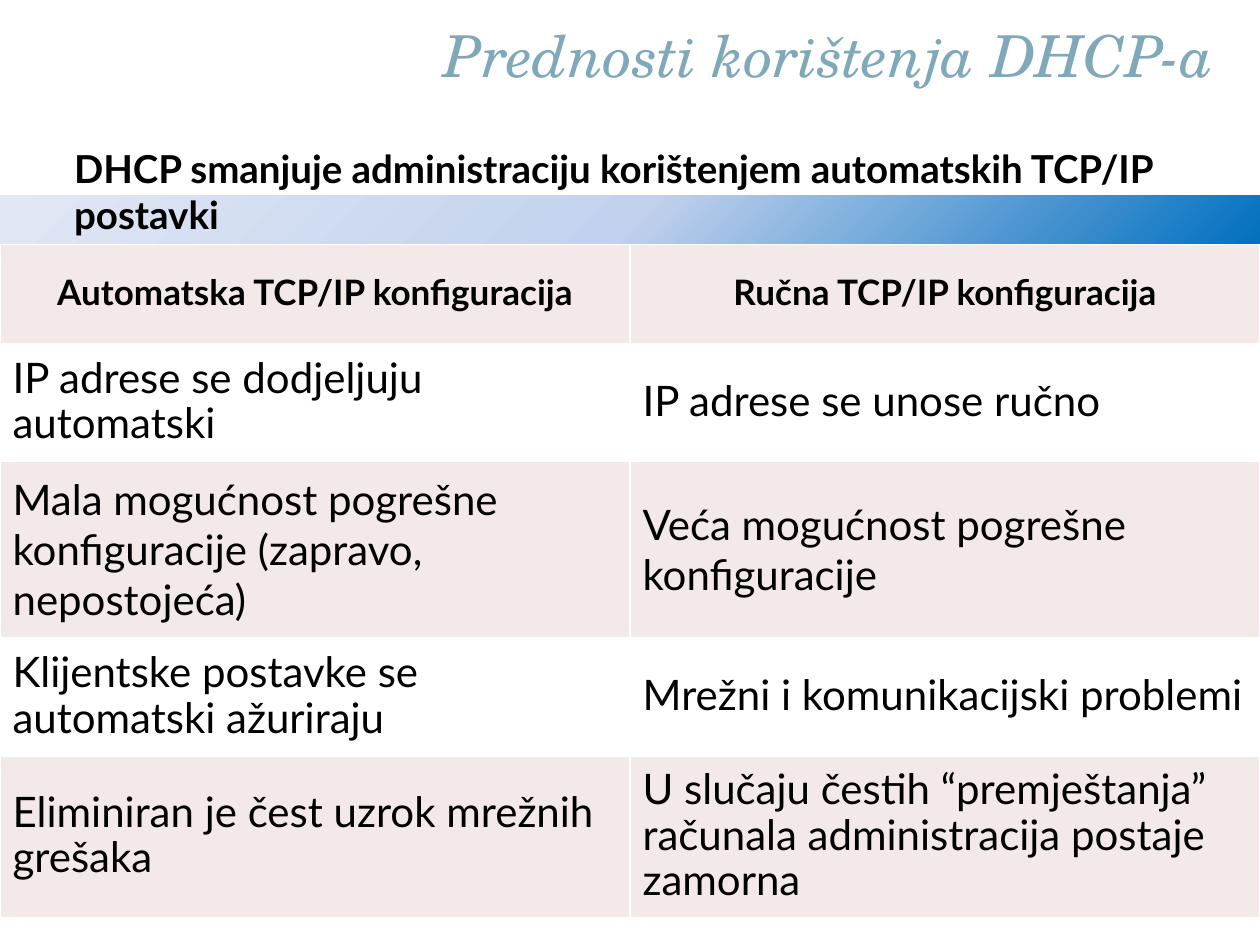
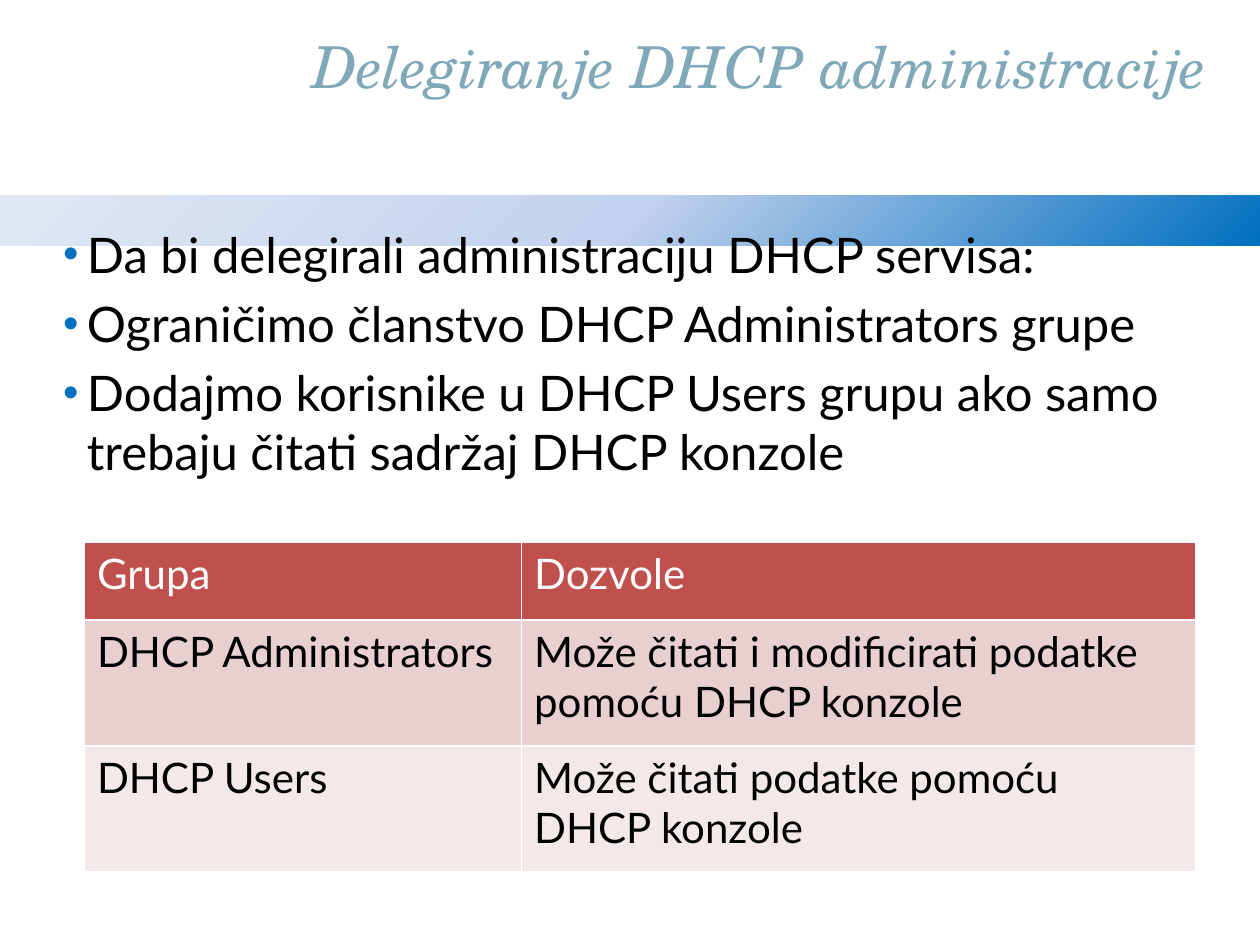
from lxml.etree import SubElement
from pptx import Presentation
from pptx.dml.color import RGBColor
from pptx.enum.shapes import MSO_SHAPE
from pptx.enum.text import MSO_ANCHOR, PP_ALIGN
from pptx.oxml import parse_xml
from pptx.oxml.ns import nsdecls, qn
from pptx.util import Inches, Pt

WHITE = RGBColor(255, 255, 255)
BLACK = RGBColor(0, 0, 0)
TITLE_BLUE = RGBColor(0x7F, 0xA8, 0xB8)
DEEP_BLUE = RGBColor(0, 0x70, 0xC0)
MID_BLUE = RGBColor(0xC2, 0xD1, 0xED)
PALE_BLUE = RGBColor(0xE1, 0xE8, 0xF5)
RED = RGBColor(0xC0, 0x50, 0x4D)
ROSE = RGBColor(0xE8, 0xD0, 0xD0)
PALE_ROSE = RGBColor(0xF4, 0xE9, 0xE9)

WIDTH, HEIGHT = 10, 7.5
BODY_FONT = "Lato"
TITLE_FORMAT = {"name": "TeX Gyre Schola", "size": Pt(33), "italic": True}
HEADING_FORMAT = {"name": BODY_FONT, "size": Pt(22), "bold": True}
HEADER_FORMAT = {"name": BODY_FONT, "size": Pt(20), "bold": True}
CELL_FORMAT = {"name": BODY_FONT, "size": Pt(24), "bold": False}
BULLET_FORMAT = {"name": BODY_FONT, "size": Pt(28)}

ADVANTAGES = [
    ("Automatska TCP/IP konfiguracija", "Ručna TCP/IP konfiguracija"),
    ("IP adrese se dodjeljuju automatski ", "IP adrese se unose ručno"),
    ("Mala mogućnost pogrešne konfiguracije (zapravo, nepostojeća)",
     "Veća mogućnost pogrešne konfiguracije"),
    ("Klijentske postavke se automatski ažuriraju ",
     "Mrežni i komunikacijski problemi"),
    ("Eliminiran je čest uzrok mrežnih grešaka",
     "U slučaju čestih “premještanja” računala administracija postaje zamorna"),
]
DELEGATION_STEPS = [
    "Da bi delegirali administraciju DHCP servisa:",
    "Ograničimo članstvo DHCP Administrators grupe",
    "Dodajmo korisnike u DHCP Users grupu ako samo trebaju čitati sadržaj DHCP konzole",
]
PERMISSIONS = [
    ("Grupa", "Dozvole"),
    ("DHCP Administrators", "Može čitati i modificirati podatke pomoću DHCP konzole"),
    ("DHCP Users", "Može čitati podatke pomoću DHCP konzole"),
]


def inches(*lengths):
    return [Inches(length) for length in lengths]


def write(paragraph, text, font_format, color=BLACK, **paragraph_format):
    run = paragraph.add_run()
    run.text = text
    for name, value in font_format.items():
        setattr(run.font, name, value)
    run.font.color.rgb = color
    for name, value in paragraph_format.items():
        setattr(paragraph, name, value)


def add_text_frame(slide, box, anchor=MSO_ANCHOR.TOP):
    frame = slide.shapes.add_textbox(*inches(*box)).text_frame
    frame.word_wrap = True
    frame.vertical_anchor = anchor
    return frame


def add_band(slide):
    band = slide.shapes.add_shape(MSO_SHAPE.RECTANGLE, *inches(0, 1.55, WIDTH, 0.4))
    band.shadow.inherit = False
    band.line.fill.background()
    band.fill.background()
    stops = "".join(
        f'<a:gs pos="{share * 1000}"><a:srgbClr val="{color}"/></a:gs>'
        for share, color in ((0, DEEP_BLUE), (50, MID_BLUE), (100, PALE_BLUE)))
    gradient = parse_xml(
        f'<a:gradFill {nsdecls("a")} rotWithShape="1"><a:gsLst>{stops}</a:gsLst>'
        '<a:path path="circle"><a:fillToRect l="100000" t="100000"/></a:path></a:gradFill>')
    properties = band._element.spPr
    properties.replace(properties.find(qn("a:noFill")), gradient)


def add_titled_slide(presentation, title, box):
    slide = presentation.slides.add_slide(presentation.slide_layouts[6])
    add_band(slide)
    frame = add_text_frame(slide, box, MSO_ANCHOR.BOTTOM)
    write(frame.paragraphs[0], title, TITLE_FORMAT, TITLE_BLUE, alignment=PP_ALIGN.RIGHT)
    return slide


def add_bullets(slide, box, items):
    frame = add_text_frame(slide, box)
    for side in ("left", "top", "right", "bottom"):
        setattr(frame, f"margin_{side}", 0)
    for index, item in enumerate(items):
        paragraph = frame.add_paragraph() if index else frame.paragraphs[0]
        write(paragraph, item, BULLET_FORMAT, space_before=Pt(6))
        properties = paragraph._p.get_or_add_pPr()
        properties.set("marL", str(Inches(0.19)))
        properties.set("indent", str(-Inches(0.19)))
        bullet_color = SubElement(properties, qn("a:buClr"))
        SubElement(bullet_color, qn("a:srgbClr"), val=str(DEEP_BLUE))
        SubElement(properties, qn("a:buSzPct"), val="90000")
        SubElement(properties, qn("a:buFont"), typeface="Arial")
        SubElement(properties, qn("a:buChar"), char="•")


def style_cell(cell, fill, cell_format):
    for name, value in cell_format.items():
        setattr(cell, name, value)
    properties = cell._tc.get_or_add_tcPr()
    for side in "LRTB":
        border = SubElement(properties, qn(f"a:ln{side}"), w=str(Pt(1)))
        color = SubElement(SubElement(border, qn("a:solidFill")), qn("a:srgbClr"))
        color.set("val", str(WHITE))
    cell.fill.solid()
    cell.fill.fore_color.rgb = fill


def add_table(slide, corner, widths, heights, rows, fills, cell_format):
    table = slide.shapes.add_table(
        len(rows), len(widths), *inches(*corner, sum(widths), sum(heights))).table
    table.first_row = table.horz_banding = False
    for column, width in zip(table.columns, widths):
        column.width = Inches(width)
    for row, height, texts, fill in zip(table.rows, heights, rows, fills):
        row.height = Inches(height)
        for cell, text in zip(row.cells, texts):
            style_cell(cell, fill, cell_format)
            write(cell.text_frame.paragraphs[0], text, CELL_FORMAT,
                  WHITE if fill == RED else BLACK)
    return table


def build_advantages(presentation):
    slide = add_titled_slide(presentation, "Prednosti korištenja DHCP-a", (0.28, 0.29, 9.45, 0.47))
    frame = add_text_frame(slide, (0.49, 1.1, 9.02, 0.84))
    write(frame.paragraphs[0],
          "DHCP smanjuje administraciju korištenjem automatskih TCP/IP postavki",
          HEADING_FORMAT)
    margins = {f"margin_{side}": Inches(0.1) for side in ("left", "top", "right", "bottom")}
    table = add_table(
        slide, (0, 1.94), [WIDTH / 2] * 2, [0.79, 0.93, 1.39, 0.94, 1.26], ADVANTAGES,
        [PALE_ROSE, WHITE, PALE_ROSE, WHITE, PALE_ROSE],
        {"vertical_anchor": MSO_ANCHOR.MIDDLE, **margins})
    for index, row in enumerate(table.rows):
        for cell in row.cells:
            paragraph = cell.text_frame.paragraphs[0]
            if index != 2:
                paragraph.line_spacing = 0.9
            if index == 0:
                paragraph.alignment = PP_ALIGN.CENTER
                for name, value in HEADER_FORMAT.items():
                    setattr(paragraph.runs[0].font, name, value)


def build_delegation(presentation):
    slide = add_titled_slide(presentation, "Delegiranje DHCP administracije", (0.22, 0.21, 9.45, 0.63))
    add_bullets(slide, (0.5, 1.78, 8.88, 5.63), DELEGATION_STEPS)
    add_table(slide, (0.67, 4.3), [3.47, 5.35], [0.62, 1, 1], PERMISSIONS,
              [RED, ROSE, PALE_ROSE], {"vertical_anchor": MSO_ANCHOR.TOP})


def main():
    presentation = Presentation()
    presentation.slide_width, presentation.slide_height = inches(WIDTH, HEIGHT)
    build_advantages(presentation)
    build_delegation(presentation)
    presentation.save("out.pptx")


main()
